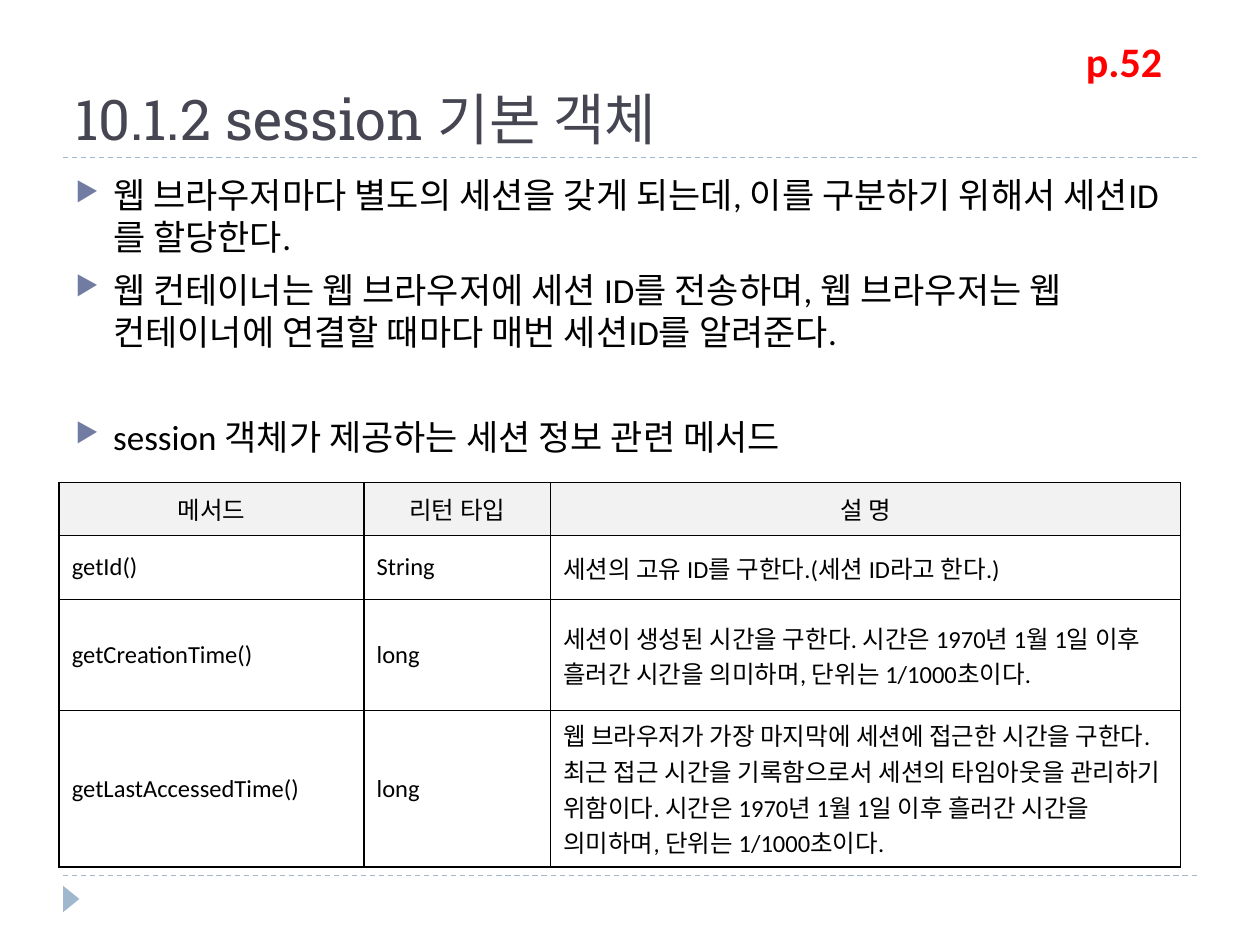
from lxml import etree
from pptx import Presentation, util as u
from pptx.dml.color import RGBColor
from pptx.enum import dml, shapes, text
from pptx.oxml import parse_xml
from pptx.oxml.ns import nsdecls, qn

COLORS = {"title": "464653", "ink": "000000", "page": "FF0000",
          "rule": "9FB8CD", "bullet": "727CA3", "header": "F2F2F2"}
WIDTH, HEIGHT = 10, 7.5
MARGIN = 0.05


class Deck:
    font = "Calibri"

    def __init__(self):
        self.prs = Presentation()
        self.prs.slide_width = u.Inches(WIDTH)
        self.prs.slide_height = u.Inches(HEIGHT)
        self.s = self.prs.slides.add_slide(self.prs.slide_layouts[6])

    def box(self, x, y, w, h):
        return [u.Inches(v) for v in (x * WIDTH, y * HEIGHT, w * WIDTH, h * HEIGHT)]

    def color(self, name):
        return RGBColor.from_string(COLORS[name])

    def run(self, p, words, size, color="ink", **fmt):
        r = p.add_run()
        r.text = words
        for key, value in {"name": self.font, "size": u.Pt(size), **fmt}.items():
            setattr(r.font, key, value)
        r.font.color.rgb = self.color(color)

    def text(self, place, lines, size, color="ink", anchor=text.MSO_ANCHOR.TOP,
             wrap=True, bullets=False, para=None, gaps=None, **fmt):
        tf = self.s.shapes.add_textbox(*self.box(*place)).text_frame
        tf.word_wrap = wrap
        tf.vertical_anchor = anchor
        for i, words in enumerate(lines):
            p = tf.paragraphs[0] if i == 0 else tf.add_paragraph()
            for key, value in (para or {}).items():
                setattr(p, key, value)
            if gaps:
                p.space_before = u.Pt(gaps[i])
            if bullets:
                self.bullet(p)
            self.run(p, words, size, color, **fmt)

    def bullet(self, p):
        pPr = p._p.get_or_add_pPr()
        pPr.set("marL", str(u.Inches(0.3)))
        pPr.set("indent", str(-u.Inches(0.3)))
        clr = etree.SubElement(pPr, qn("a:buClr"))
        etree.SubElement(clr, qn("a:srgbClr"), val=COLORS["bullet"])
        etree.SubElement(pPr, qn("a:buSzPct"), val="76000")
        etree.SubElement(pPr, qn("a:buChar"), char="▶")

    def rule(self, y):
        x1, y1, w, _ = self.box(MARGIN, y, 1 - 2 * MARGIN, 0)
        c = self.s.shapes.add_connector(shapes.MSO_CONNECTOR.STRAIGHT, x1, y1, x1 + w, y1)
        c.line.color.rgb = self.color("rule")
        c.line.width = u.Pt(0.75)
        c.line.dash_style = dml.MSO_LINE.DASH
        etree.SubElement(c._element.spPr, qn("a:effectLst"))

    def marker(self, place):
        sp = self.s.shapes.add_shape(shapes.MSO_SHAPE.ISOSCELES_TRIANGLE, *self.box(*place))
        sp.rotation = 90
        sp.shadow.inherit = False
        sp.fill.solid()
        sp.fill.fore_color.rgb = self.color("rule")
        sp.line.fill.background()

    def border(self, cell):
        tcPr = cell._tc.get_or_add_tcPr()
        for i, side in enumerate(("lnL", "lnR", "lnT", "lnB")):
            tcPr.insert(i, parse_xml(
                f'<a:{side} {nsdecls("a")} w="12700"><a:solidFill>'
                f'<a:srgbClr val="{COLORS["ink"]}"/></a:solidFill></a:{side}>'))

    def table(self, place, cols, heights, rows, size):
        tbl = self.s.shapes.add_table(len(rows), len(cols), *self.box(*place)).table
        for col, width in zip(tbl.columns, cols):
            col.width = u.Inches(width)
        for i, (row, height) in enumerate(zip(rows, heights)):
            tbl.rows[i].height = u.Inches(height)
            for j, words in enumerate(row):
                cell = tbl.cell(i, j)
                cell.vertical_anchor = text.MSO_ANCHOR.MIDDLE
                p = cell.text_frame.paragraphs[0]
                if i == 0:
                    p.alignment = text.PP_ALIGN.CENTER
                    cell.fill.solid()
                    cell.fill.fore_color.rgb = self.color("header")
                else:
                    cell.fill.background()
                self.run(p, words, size)
                self.border(cell)


POINTS = [
    "웹 브라우저마다 별도의 세션을 갖게 되는데, 이를 구분하기 위해서 세션ID를 할당한다.",
    "웹 컨테이너는 웹 브라우저에 세션 ID를 전송하며, 웹 브라우저는 웹 컨테이너에 연결할 때마다 매번 세션ID를 알려준다.",
    "session 객체가 제공하는 세션 정보 관련 메서드",
]
SINCE = "시간은 1970년 1월 1일 이후 흘러간 시간을 의미하며, 단위는 1/1000초이다."
METHODS = [
    ("메서드", "리턴 타입", "설 명"),
    ("getId()", "String", "세션의 고유 ID를 구한다.(세션 ID라고 한다.)"),
    ("getCreationTime()", "long", "세션이 생성된 시간을 구한다. " + SINCE),
    ("getLastAccessedTime()", "long",
     "웹 브라우저가 가장 마지막에 세션에 접근한 시간을 구한다. 최근 접근 시간을 "
     "기록함으로서 세션의 타임아웃을 관리하기 위함이다. " + SINCE),
]

deck = Deck()
for y in (6.95, 1.25):
    deck.rule(y / HEIGHT)
deck.marker((0.046, 7.07 / HEIGHT, 0.021, 0.13 / HEIGHT))
deck.text((MARGIN, 0.17 / HEIGHT, 0.9, 1.08 / HEIGHT), ["10.1.2 session 기본 객체"], 32,
          "title", anchor=text.MSO_ANCHOR.BOTTOM, name="Roboto Slab")
deck.text((MARGIN, 1.33 / HEIGHT, 0.9, 0.72), POINTS, 20, bullets=True,
          para={"line_spacing": u.Pt(24)}, gaps=(6, 6, 36))
deck.table((0.047, 3.83 / HEIGHT, 0.89, 3.05 / HEIGHT), (2.42, 1.48, 5),
           (0.42, 0.51, 0.88, 1.24), METHODS, 14)
deck.text((0.852, 0.23 / HEIGHT, 0.086, 0.5 / HEIGHT), ["p.52"], 24, "page",
          wrap=False, bold=True)
deck.prs.save("out.pptx")
